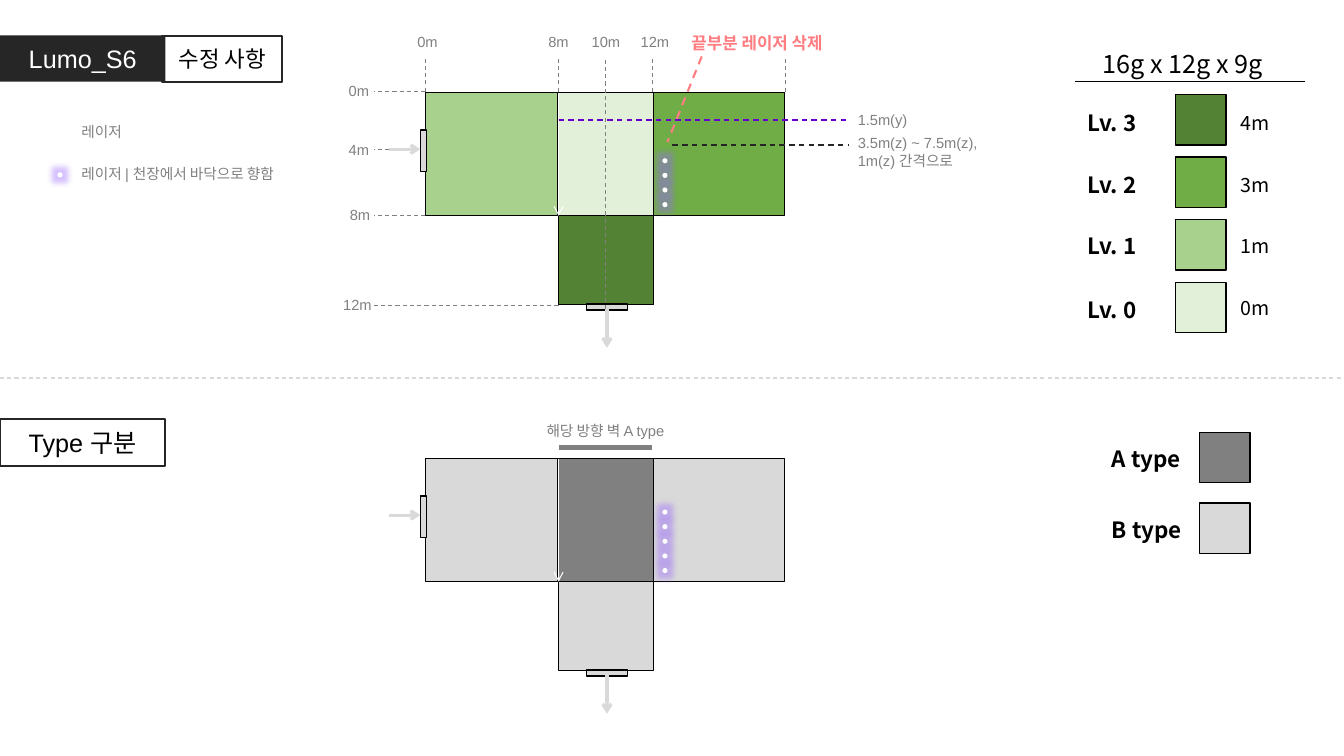
from lxml.etree import SubElement
from pptx import Presentation
from pptx.dml.color import RGBColor
from pptx.enum.dml import MSO_LINE
from pptx.enum.shapes import MSO_CONNECTOR, MSO_SHAPE
from pptx.enum.text import MSO_ANCHOR, MSO_AUTO_SIZE, PP_ALIGN
from pptx.oxml.ns import qn
from pptx.util import Inches, Pt

COLORS = {
    "black": "000000", "ink": "262626", "gray": "808080", "silver": "D9D9D9",
    "white": "FFFFFF", "purple": "6600CC", "glow": "9966FF", "coral": "FF7C80",
    "level 0": "E2F0D9", "level 1": "A9D18E", "level 2": "70AD47", "level 3": "548235",
}
CELL = 0.1  # inches per grid column and row
COLUMNS, ROWS = 133.3, 75
KOREAN_FONT = "Noto Sans CJK KR"
NOTE = {"name": "Arial", "size": Pt(10.5), "color": "gray"}
LEGEND = {"name": KOREAN_FONT, "size": Pt(16), "color": "black", "bold": True}
VALUE = {"name": KOREAN_FONT, "size": Pt(14), "color": "black"}
HEADING = {"name": "Arial", "size": Pt(18), "color": "black"}

# Plan columns, and plan rows counted from the top of the plan
LEFT, MIDDLE, RIGHT, END = 42.2, 55.4, 64.7, 77.9
UPPER_TOP, LOWER_TOP, PLAN_DEPTH = 9.2, 45.5, 12.2


def grid(*cells):
    return [Inches(cell * CELL) for cell in cells]


def rgb(color):
    return RGBColor.from_string(COLORS[color])


class SlideBuilder:
    def __init__(self, slide):
        self.slide = slide

    def put_text(self, shape, lines, style, align=PP_ALIGN.LEFT):
        frame = shape.text_frame
        frame.word_wrap = True
        for index, line in enumerate(lines.split("\n")):
            paragraph = frame.paragraphs[0] if index == 0 else frame.add_paragraph()
            paragraph.alignment = align
            run = paragraph.add_run()
            run.text = line
            for attribute, value in style.items():
                if attribute == "color":
                    run.font.color.rgb = rgb(value)
                else:
                    setattr(run.font, attribute, value)
            east_asian = SubElement(run.font._element, qn("a:ea"))
            east_asian.set("typeface", KOREAN_FONT)

    def title(self, text, box, fill):
        shape = self.slide.shapes.title
        shape.left, shape.top, shape.width, shape.height = grid(*box)
        shape.fill.solid()
        shape.fill.fore_color.rgb = rgb(fill)
        shape.text_frame.auto_size = MSO_AUTO_SIZE.NONE
        shape.text_frame.vertical_anchor = MSO_ANCHOR.MIDDLE
        self.put_text(shape, text, {**HEADING, "color": "white"}, PP_ALIGN.CENTER)

    def text(self, text, box, style=NOTE, align=PP_ALIGN.LEFT):
        shape = self.slide.shapes.add_textbox(*grid(*box))
        self.put_text(shape, text, style, align)
        shape.text_frame.auto_size = MSO_AUTO_SIZE.SHAPE_TO_FIT_TEXT

    def shape(self, box, fill=None, line="black", weight=1, kind=MSO_SHAPE.RECTANGLE):
        shape = self.slide.shapes.add_shape(kind, *grid(*box))
        shape.shadow.inherit = False
        if fill:
            shape.fill.solid()
            shape.fill.fore_color.rgb = rgb(fill)
        else:
            shape.fill.background()
        if line:
            shape.line.color.rgb = rgb(line)
            shape.line.width = Pt(weight)
        else:
            shape.line.fill.background()
        return shape

    def framed_heading(self, text, box, size, fill=None):
        shape = self.shape(box, fill, "ink", 1.5)
        shape.text_frame.vertical_anchor = MSO_ANCHOR.MIDDLE
        self.put_text(shape, text, {**HEADING, "size": Pt(size)}, PP_ALIGN.CENTER)

    def laser_dot(self, left, top):
        dot = self.shape((left, top, 0.5, 0.5), "white", None, kind=MSO_SHAPE.OVAL)
        effects = dot._element.spPr.find(qn("a:effectLst"))
        glow = SubElement(effects, qn("a:glow"), rad=str(Pt(8)))
        color = SubElement(glow, qn("a:srgbClr"), val=COLORS["glow"])
        SubElement(color, qn("a:alpha"), val="40000")

    def line(self, start, end, color="gray", weight=0.75, dash=False, arrow=False):
        line = self.slide.shapes.add_connector(
            MSO_CONNECTOR.STRAIGHT, *grid(*start), *grid(*end))
        line.line.color.rgb = rgb(color)
        line.line.width = Pt(weight)
        if dash:
            line.line.dash_style = MSO_LINE.DASH
        properties = line._element.spPr
        if arrow:
            SubElement(properties.find(qn("a:ln")), qn("a:tailEnd"), type="arrow")
        SubElement(properties, qn("a:effectLst"))

    def plan(self, top, rooms, dot_count):
        """Draw the T-shaped plan; rooms are the fills: left, centre, right, lower."""
        left_fill, centre_fill, right_fill, lower_fill = rooms
        self.shape((MIDDLE, top + PLAN_DEPTH, 9.4, 8.8), lower_fill)
        self.shape((LEFT, top, 13.1, PLAN_DEPTH), left_fill)
        self.shape((RIGHT, top, 13.1, PLAN_DEPTH), right_fill)
        self.shape((41.7, top + 3.7, 0.6, 4.1), "silver")
        self.line((38.6, top + 5.6), (41.7, top + 5.6), "silver", 2.25, arrow=True)
        self.shape((59.9, top + 19.2, 0.6, 4.1), "silver").rotation = 270
        self.line((60.2, top + 21.5), (60.2, top + 25.3), "silver", 2.25, arrow=True)
        self.shape((MIDDLE, top, 9.4, PLAN_DEPTH), centre_fill)
        self.line((MIDDLE, top), (MIDDLE, top + PLAN_DEPTH), "white", arrow=True)
        for index in range(dot_count):
            self.laser_dot(65.7, top + 10.85 - 1.45 * index)


def draw_headings(builder):
    builder.title("Lumo_S6", (0, 3.5, 16.4, 4.6), "ink")
    builder.framed_heading("수정 사항", (16.1, 3.6, 11.9, 4.5), 16)
    builder.framed_heading("Type 구분", (0, 41.6, 16.4, 4.6), 18, "white")
    builder.line((0, ROWS / 2), (COLUMNS, ROWS / 2), "silver", dash=True)


def draw_laser_key(builder):
    builder.text("레이저", (7.1, 11.7, 17.2, 2.8))
    builder.line((5.9, 11.9), (5.9, 14.7), "white", arrow=True)
    builder.laser_dot(5.7, 17.1)
    builder.text("레이저 | 천장에서 바닥으로 향함", (7.1, 15.9, 29.9, 2.8))


def draw_level_legend(builder):
    builder.line((106.6, 8.1), (129.4, 8.1), "black", 1)
    builder.text("16g x 12g x 9g", (106.3, 4.3, 22, 4),
                 {**HEADING, "name": KOREAN_FONT}, PP_ALIGN.CENTER)
    levels = [(3, "4m", 10.3, 10.5), (2, "3m", 16.5, 16.7),
              (1, "1m", 22.5, 22.7), (0, "0m", 28.9, 28.9)]
    for index, (level, height, label_top, value_top) in enumerate(levels):
        builder.shape((116.6, 9.4 + 6.2 * index, 5, 5), f"level {level}")
        builder.text(height, (122.1, value_top, 7.1, 3.3), VALUE)
        builder.text(f"Lv. {level}", (106.9, label_top, 10.7, 3.7), LEGEND)


def draw_type_legend(builder):
    for index, (label, fill) in enumerate([("A type", "gray"), ("B type", "silver")]):
        top = 42.9 + 7 * index
        builder.shape((119, top, 5, 5), fill)
        builder.text(label, (109.3, top + 0.8, 10.7, 3.7), LEGEND)


def draw_upper_plan(builder):
    builder.plan(UPPER_TOP, ("level 1", "level 0", "level 2", "level 3"), 4)
    for column in (LEFT, MIDDLE, RIGHT, END):
        builder.line((column, 9.1), (column, 5.7), dash=True)
    for column, row in ((LEFT, 9.1), (38.6, 14.8), (LEFT, 21.4), (MIDDLE, 30.3)):
        builder.line((column, row), (37.1, row), dash=True)
    builder.line((60.1, 30.7), (60.1, 5.7), dash=True)
    for label, left, top, width in (
            ("0m", 40.1, 2.8, 4.6), ("8m", 53.1, 2.8, 4.6),
            ("10m", 57.4, 2.8, 5.4), ("12m", 62.2, 2.8, 5.5),
            ("0m", 33.3, 7.6, 4.6), ("4m", 33.3, 13.5, 4.6),
            ("8m", 33.4, 19.9, 4.6), ("12m", 32.7, 28.9, 5.5)):
        builder.text(label, (left, top, width, 2.8), align=PP_ALIGN.CENTER)

    builder.line((MIDDLE, 11.9), (84.1, 11.9), "purple", 1, dash=True)
    builder.line((66.7, 14.4), (84.1, 14.4), "ink", 1, dash=True)
    builder.text("1.5m(y)", (84.1, 10.5, 10, 2.8))
    builder.text("3.5m(z) ~ 7.5m(z),\n1m(z) 간격으로", (84.1, 12.8, 16.3, 4.5))
    builder.text("끝부분 레이저 삭제", (67.6, 2.8, 22.7, 3),
                 {**NOTE, "size": Pt(12), "color": "coral", "bold": True})
    builder.line((69.6, 5.6), (66.2, 14.1), "coral", 1.5, dash=True)


def draw_lower_plan(builder):
    builder.text("해당 방향 벽 A type", (51.2, 41.4, 17.7, 2.8), align=PP_ALIGN.CENTER)
    builder.plan(LOWER_TOP, ("silver", "gray", "silver", "silver"), 5)
    builder.line((MIDDLE, 44.4), (RIGHT, 44.4), weight=3)


def main():
    presentation = Presentation()
    presentation.slide_width, presentation.slide_height = grid(COLUMNS, ROWS)
    title_only = presentation.slide_layouts[5]
    builder = SlideBuilder(presentation.slides.add_slide(title_only))
    for draw in (draw_headings, draw_laser_key, draw_level_legend,
                 draw_type_legend, draw_upper_plan, draw_lower_plan):
        draw(builder)
    presentation.save("out.pptx")


if __name__ == "__main__":
    main()
